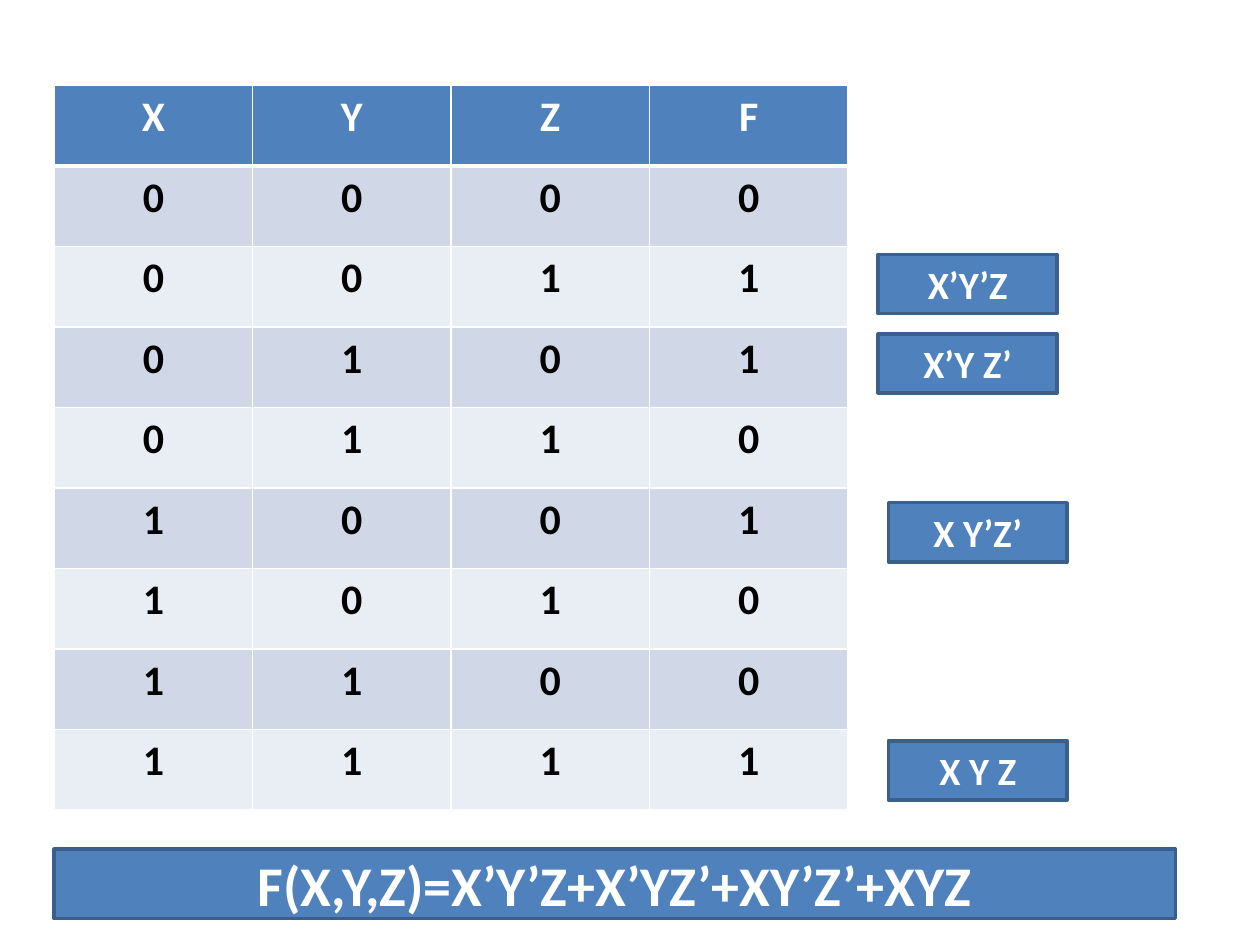
from itertools import product

from lxml import etree
from pptx import Presentation
from pptx.dml.color import RGBColor
from pptx.enum.shapes import MSO_SHAPE
from pptx.enum.text import MSO_ANCHOR, PP_ALIGN
from pptx.oxml.ns import qn
from pptx.util import Inches, Pt

RECTANGLE = MSO_SHAPE.RECTANGLE
MIDDLE = MSO_ANCHOR.MIDDLE
CENTER = PP_ALIGN.CENTER

COLORS = {
    "accent": "4F81BD",
    "outline": "3A5F8C",
    "band_dark": "D0D8E8",
    "band_light": "E9EDF4",
    "white": "FFFFFF",
    "black": "000000",
}
FONT = "Calibri"
GRID = 0.1  # inches per grid unit: the slide is 100 columns by 75 rows

VARIABLES = ("X", "Y", "Z")
# Inputs where F is 1: label, left column and top row of its box
MINTERMS = {
    (0, 0, 1): ("X’Y’Z", 69.7, 20.2),
    (0, 1, 0): ("X’Y Z’", 69.7, 26.5),
    (1, 0, 0): ("X Y’Z’", 70.5, 39.9),
    (1, 1, 1): ("X Y Z", 70.5, 58.8),
}


def color(name):
    return RGBColor.from_string(COLORS[name])


def units(*counts):
    return [Inches(count * GRID) for count in counts]


class SlideBuilder:
    """Holds the style and the current slide."""

    def __init__(self, slide):
        self.slide = slide

    def label(self, frame, text, size, ink):
        frame.text = text
        paragraph = frame.paragraphs[0]
        paragraph.alignment = CENTER
        font = paragraph.runs[0].font
        font.name, font.size, font.bold = FONT, Pt(size), True
        font.color.rgb = color(ink)

    def box(self, text, left, top, width, height, size):
        shape = self.slide.shapes.add_shape(
            RECTANGLE, *units(left, top, width, height))
        shape.shadow.inherit = False
        shape.fill.solid()
        shape.fill.fore_color.rgb = color("accent")
        shape.line.color.rgb = color("outline")
        shape.line.width = Pt(2)
        shape.text_frame.vertical_anchor = MIDDLE
        self.label(shape.text_frame, text, size, "white")

    def borders(self, cell, top, bottom):
        properties = cell._tc.get_or_add_tcPr()
        for side, width in (("L", 1), ("R", 1), ("T", top), ("B", bottom)):
            line = etree.SubElement(properties, qn(f"a:ln{side}"), w=str(Pt(width)))
            fill = etree.SubElement(line, qn("a:solidFill"))
            etree.SubElement(fill, qn("a:srgbClr"), val=COLORS["white"])

    def table(self, rows, left, top, width, height, size):
        table = self.slide.shapes.add_table(
            len(rows), len(rows[0]), *units(left, top, width, height)).table
        for r, values in enumerate(rows):
            if r == 0:
                band, ink = "accent", "white"
            else:
                band, ink = "band_dark" if r % 2 else "band_light", "black"
            for c, value in enumerate(values):
                cell = table.cell(r, c)
                self.borders(cell, top=3 if r == 1 else 1, bottom=3 if r == 0 else 1)
                cell.fill.solid()
                cell.fill.fore_color.rgb = color(band)
                self.label(cell.text_frame, str(value), size, ink)


def main():
    deck = Presentation()
    deck.slide_width, deck.slide_height = units(100, 75)
    builder = SlideBuilder(deck.slides.add_slide(deck.slide_layouts[6]))

    # Truth table
    truth_rows = [(*VARIABLES, "F")]
    for inputs in product((0, 1), repeat=len(VARIABLES)):
        truth_rows.append((*inputs, int(inputs in MINTERMS)))
    builder.table(truth_rows, 4.3, 6.8, 63, 57.5, size=24)

    # Minterms beside their rows
    for term, left, top in MINTERMS.values():
        builder.box(term, left, top, 14.2, 4.7, size=22)

    # Sum of minterms
    builder.box("F(X,Y,Z)=X’Y’Z+X’YZ’+XY’Z’+XYZ", 4.3, 67.4, 89, 5.5, size=32)

    deck.save("out.pptx")


if __name__ == "__main__":
    main()
